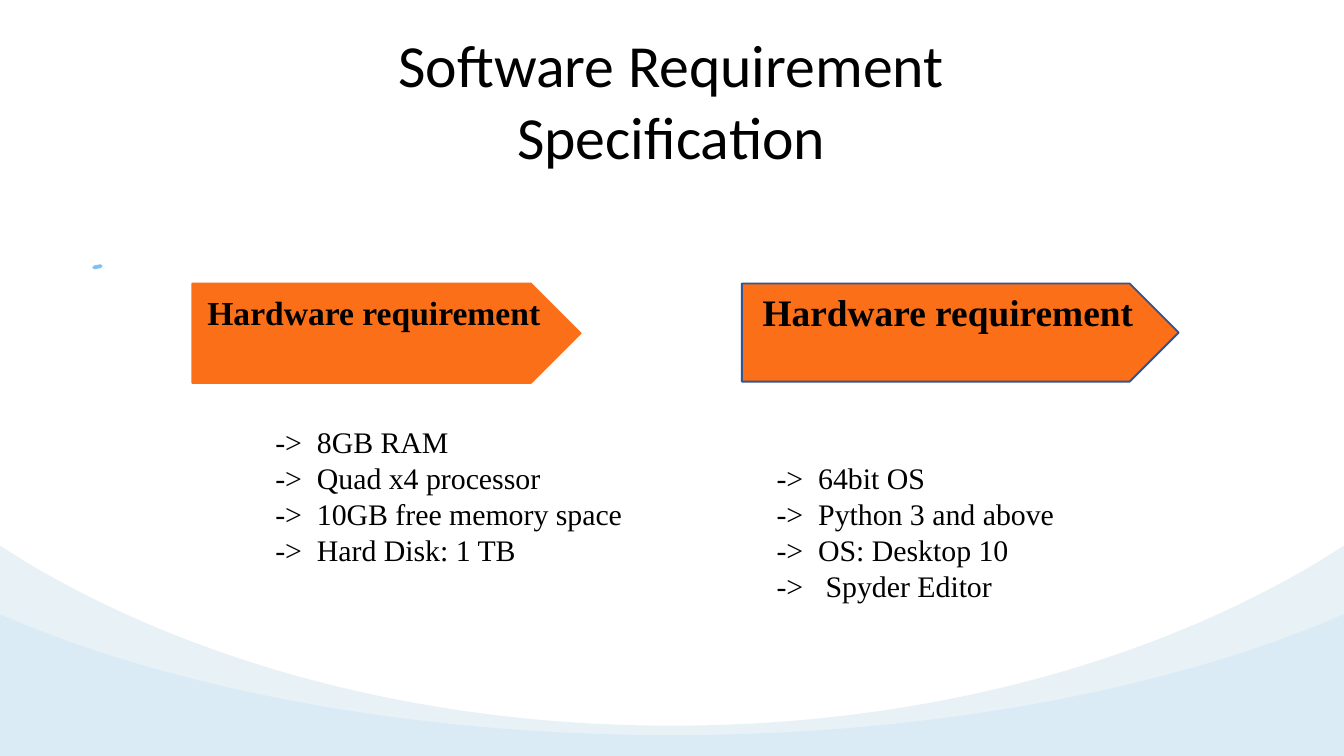
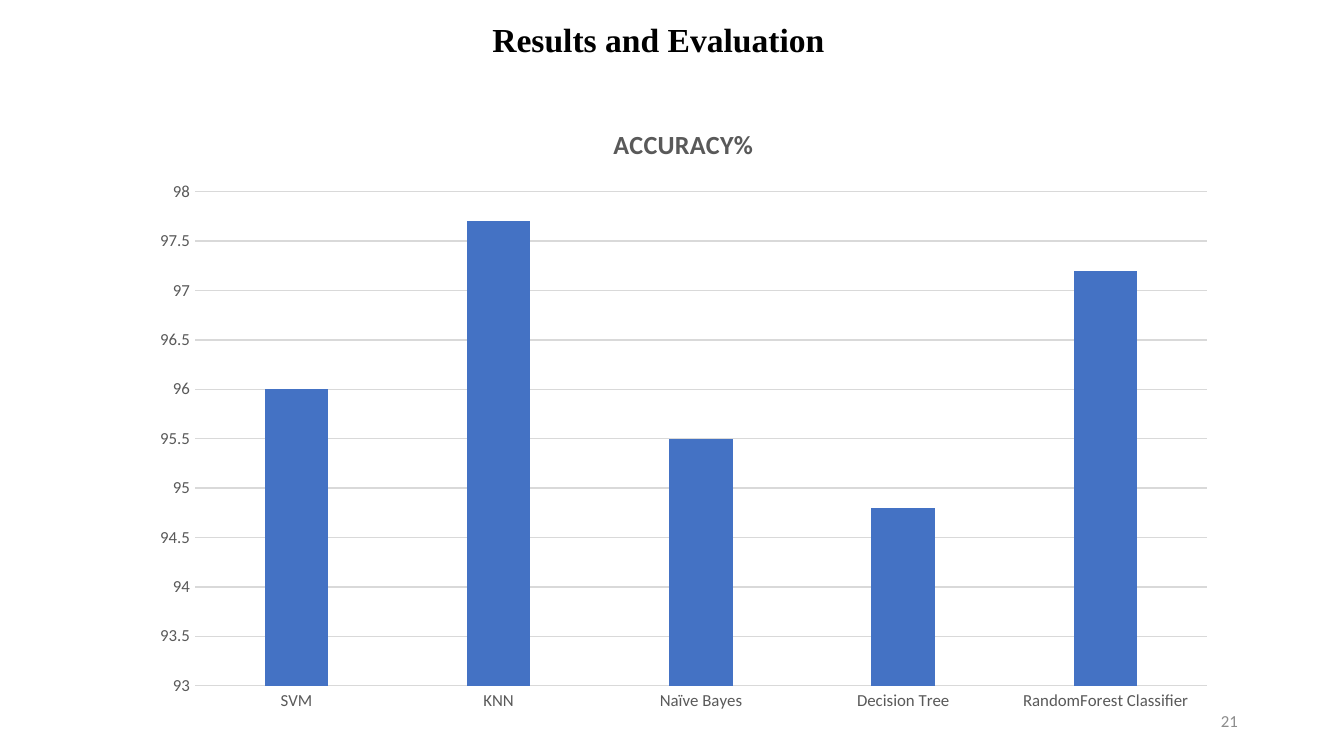
from lxml import etree
from pptx import Presentation
from pptx.chart.data import CategoryChartData
from pptx.dml.color import RGBColor
from pptx.enum.chart import XL_CHART_TYPE, XL_TICK_MARK
from pptx.enum.shapes import MSO_CONNECTOR, MSO_SHAPE
from pptx.enum.text import MSO_ANCHOR, MSO_AUTO_SIZE, PP_ALIGN
from pptx.oxml.ns import qn
from pptx.util import Inches, Pt

COLUMN = XL_CHART_TYPE.COLUMN_CLUSTERED
NO_TICK = XL_TICK_MARK.NONE
STRAIGHT = MSO_CONNECTOR.STRAIGHT
PENTAGON, ELLIPSE = MSO_SHAPE.PENTAGON, MSO_SHAPE.OVAL
TOP, MIDDLE = MSO_ANCHOR.TOP, MSO_ANCHOR.MIDDLE
LEFT, CENTER, RIGHT = PP_ALIGN.LEFT, PP_ALIGN.CENTER, PP_ALIGN.RIGHT
GROW, FIXED = MSO_AUTO_SIZE.SHAPE_TO_FIT_TEXT, MSO_AUTO_SIZE.NONE

# Content
REQUIREMENT_TITLE = "Software Requirement Specification"
REQUIREMENTS = [
    {"heading": "Hardware requirement", "size": 18, "border": "orange",
     "banner": (1.43, 2.11, 2.89, 0.74), "list": (1.95, 3.1, 3.05, 1.45),
     "items": ["8GB RAM", "Quad x4 processor", "10GB free memory space",
               "Hard Disk: 1 TB"]},
    {"heading": "Hardware requirement", "size": 20, "border": "navy",
     "banner": (5.52, 2.11, 3.25, 0.73), "list": (5.68, 3.37, 3.24, 1.75),
     "items": ["64bit OS", "Python 3 and above", "OS: Desktop 10",
               " Spyder Editor"]},
]
RESULTS_TITLE = "Results and Evaluation"
CHART_TITLE = "ACCURACY%"
ACCURACY = {"SVM": 96, "KNN": 97.7, "Naïve Bayes": 95.5,
            "Decision Tree": 94.8, "RandomForest Classifier": 97.2}
PAGE_NUMBER = "21"

# Shared style
WIDTH, HEIGHT = 10, 5.625
SANS, SERIF = "Calibri", "Times New Roman"
COLORS = {"black": "000000", "white": "FFFFFF", "orange": "FB6F18",
          "navy": "325491", "sky": "7AC2F9", "mist": "E8F1F6",
          "bar": "4472C4", "label": "595959", "grid": "D9D9D9",
          "page": "8C8C8C"}
# Each wave: edge height, shoulder height, control height, lowest height
WAVES = [((4.06, 4.18, 4.94, 5.4), "mist", None),
         ((4.57, 4.65, 5.16, 5.47), "sky", 11)]
SHOULDER_X, CONTROL_X, FLAT_X = 0.19, 1.46, 3.15


def rgb(name):
    return RGBColor.from_string(COLORS[name])


def set_font(font, size, name=SANS, color="black", bold=False):
    values = {"size": Pt(size), "name": name, "bold": bold}
    for attribute, value in values.items():
        setattr(font, attribute, value)
    font.color.rgb = rgb(color)


def paint(shape, fill, line=None, alpha=None):
    shape.shadow.inherit = False
    shape.fill.solid()
    shape.fill.fore_color.rgb = rgb(fill)
    if alpha is not None:
        color = shape.fill._xPr.find(".//" + qn("a:srgbClr"))
        etree.SubElement(color, qn("a:alpha"), val=str(alpha * 1000))
    if line:
        shape.line.color.rgb = rgb(line)
        shape.line.width = Pt(1)
    else:
        shape.line.fill.background()


def write(shape, lines, align=LEFT, anchor=TOP, wrap=True, fit=FIXED,
          spacing=None, tab=None, **font):
    frame = shape.text_frame
    for attribute, value in {"word_wrap": wrap, "vertical_anchor": anchor,
                             "auto_size": fit}.items():
        setattr(frame, attribute, value)
    for index, line in enumerate(lines):
        paragraph = frame.paragraphs[0] if index == 0 else frame.add_paragraph()
        paragraph.alignment = align
        if spacing:
            paragraph.line_spacing = Pt(spacing)
        if tab:
            stops = etree.SubElement(paragraph._p.get_or_add_pPr(), qn("a:tabLst"))
            etree.SubElement(stops, qn("a:tab"), pos=str(Inches(tab)), algn="l")
        run = paragraph.add_run()
        run.text = line
        set_font(run.font, **font)


def add_text(slide, box, lines, **style):
    write(slide.shapes.add_textbox(*map(Inches, box)), lines, **style)


def add_title(slide, text, box, **font):
    add_text(slide, box, [text], align=CENTER, wrap=False, fit=GROW, **font)


def bend(segment, points, top):
    """Turn a straight path segment into a cubic curve."""
    curve = etree.Element(qn("a:cubicBezTo"))
    for x, y in points:
        etree.SubElement(curve, qn("a:pt"), x=str(Inches(x)),
                         y=str(Inches(y) - Inches(top)))
    segment.getparent().replace(segment, curve)


def add_wave(slide, heights, color, alpha):
    edge, shoulder, control, lowest = heights
    falling = [(SHOULDER_X, shoulder), (CONTROL_X, control),
               (FLAT_X, lowest), (WIDTH / 2, lowest)]
    rising = [(WIDTH - x, y) for x, y in reversed(falling)]
    corners = [falling[0], falling[-1], rising[-1],
               (WIDTH, edge), (WIDTH, HEIGHT), (0, HEIGHT)]
    builder = slide.shapes.build_freeform(0, Inches(edge), scale=1.0)
    builder.add_line_segments([(Inches(x), Inches(y)) for x, y in corners],
                              close=True)
    wave = builder.convert_to_shape()
    segments = list(wave._element.iter(qn("a:lnTo")))
    for segment, curve in zip(segments[1:3], (falling, rising)):
        bend(segment, curve[1:], edge)
    paint(wave, color, alpha=alpha)


def add_droplet(slide):
    disc = slide.shapes.add_shape(ELLIPSE, *map(Inches, (0.45, 1.83, 0.47, 0.47)))
    paint(disc, "white")
    dash = slide.shapes.add_connector(STRAIGHT, *map(Inches, (0.7, 1.99, 0.75, 1.98)))
    dash.line.color.rgb = rgb("sky")
    dash.line.width = Pt(2)
    dash.line._ln.set("cap", "rnd")
    etree.SubElement(dash._element.spPr, qn("a:effectLst"))


def build_requirements(slide):
    add_title(slide, REQUIREMENT_TITLE, (1.67, 0.16, 6.65, 0.64), size=32)
    for wave in WAVES:
        add_wave(slide, *wave)
    add_droplet(slide)
    for group in REQUIREMENTS:
        add_text(slide, group["list"], [f"->\t{item}" for item in group["items"]],
                 size=16, name=SERIF, spacing=19.3, tab=0.31)
        banner = slide.shapes.add_shape(PENTAGON, *map(Inches, group["banner"]))
        paint(banner, "orange", group["border"])
        banner.text_frame.margin_bottom = Inches(0.36)
        write(banner, [group["heading"]], align=CENTER, anchor=MIDDLE,
              size=group["size"], name=SERIF, bold=True)


def build_results(slide):
    add_text(slide, (7.06, 5.21, 2.25, 0.3), [PAGE_NUMBER], align=RIGHT,
             anchor=MIDDLE, size=9, color="page")
    add_title(slide, RESULTS_TITLE, (3.55, 0.09, 2.7, 0.4), size=18,
              name=SERIF, bold=True)

    # Accuracy chart
    data = CategoryChartData()
    data.categories = list(ACCURACY)
    data.add_series("Series 1", list(ACCURACY.values()))
    box = map(Inches, (1.03, 0.76, 8.11, 4.62))
    chart = slide.shapes.add_chart(COLUMN, *box, data).chart
    set_font(chart.font, 10)
    chart.has_legend = False
    chart.has_title = True
    heading = chart.chart_title.text_frame
    heading.text = CHART_TITLE
    set_font(heading.paragraphs[0].runs[0].font, 14, color="label", bold=True)

    plot = chart.plots[0]
    for attribute, value in {"gap_width": 219, "overlap": -27,
                             "vary_by_categories": False}.items():
        setattr(plot, attribute, value)
    bars = plot.series[0].format.fill
    bars.solid()
    bars.fore_color.rgb = rgb("bar")

    # Axes
    names, scale = chart.category_axis, chart.value_axis
    for axis in (names, scale):
        axis.major_tick_mark = axis.minor_tick_mark = NO_TICK
        set_font(axis.tick_labels.font, 9, color="label")
    for attribute, value in {"minimum_scale": 93, "maximum_scale": 98,
                             "major_unit": 0.5}.items():
        setattr(scale, attribute, value)
    scale.format.line.fill.background()
    for line in (names.format.line, scale.major_gridlines.format.line):
        line.color.rgb = rgb("grid")
        line.width = Pt(0.75)


def main():
    deck = Presentation()
    deck.slide_width, deck.slide_height = Inches(WIDTH), Inches(HEIGHT)
    for build in (build_requirements, build_results):
        build(deck.slides.add_slide(deck.slide_layouts[6]))
    deck.save("out.pptx")


if __name__ == "__main__":
    main()
